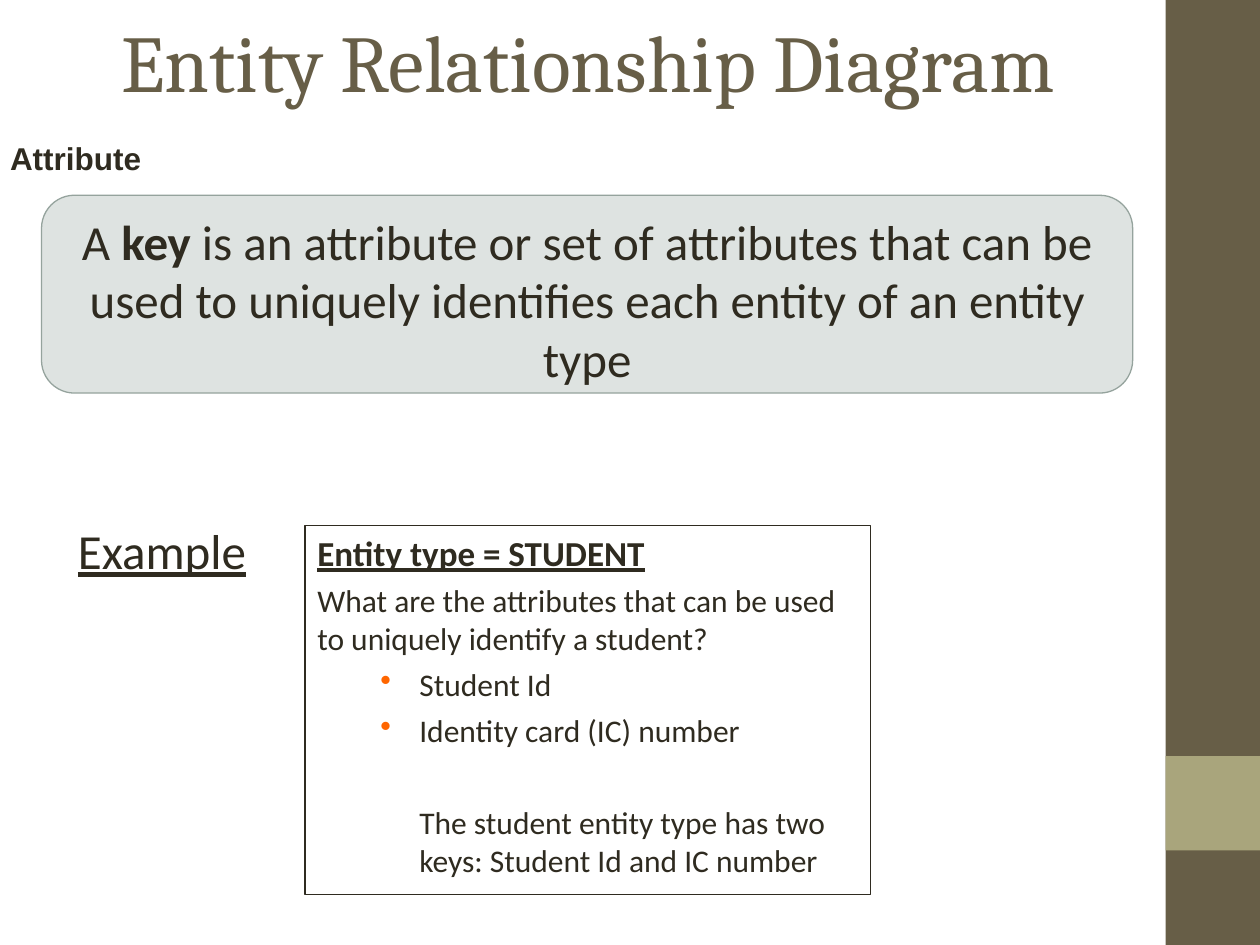
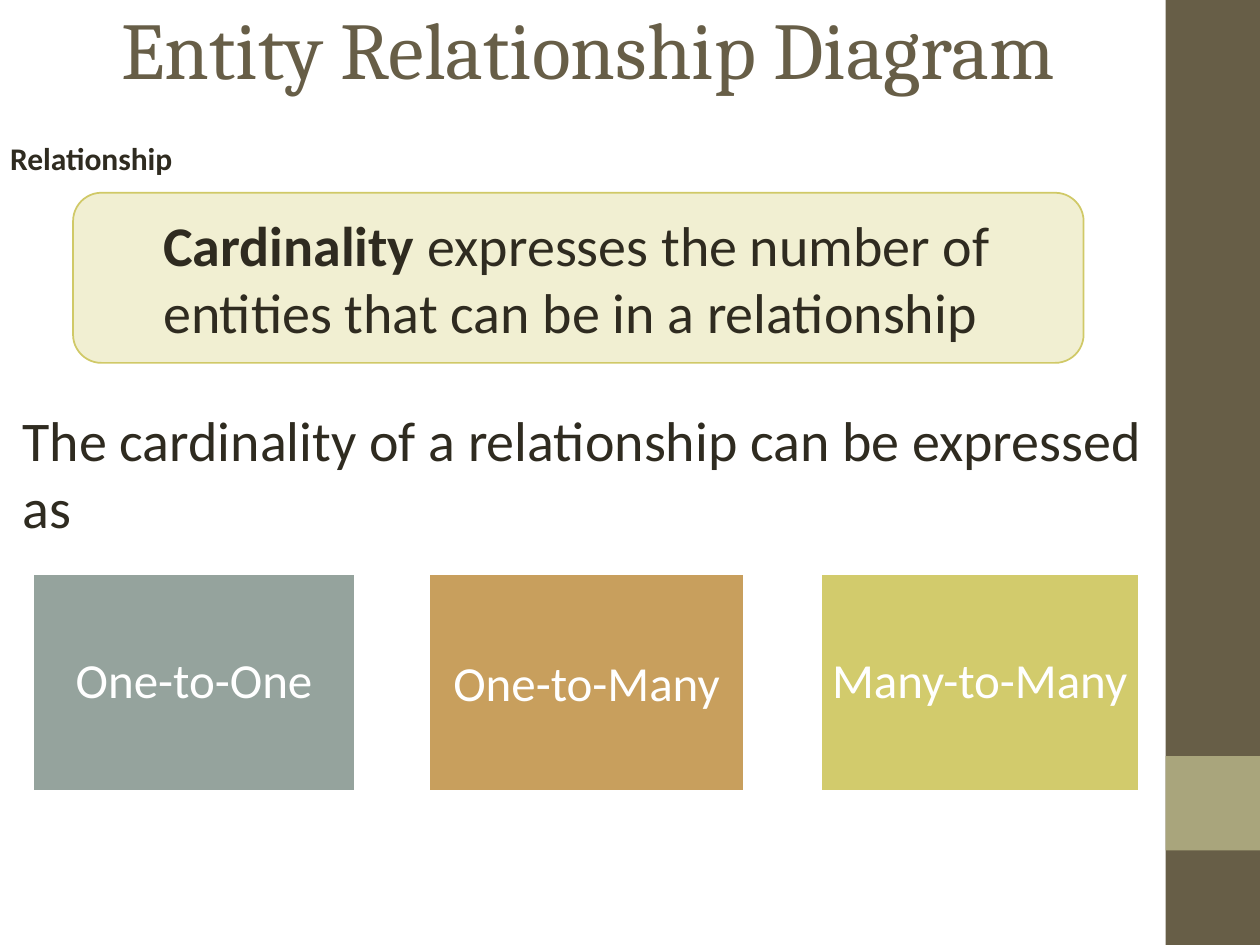
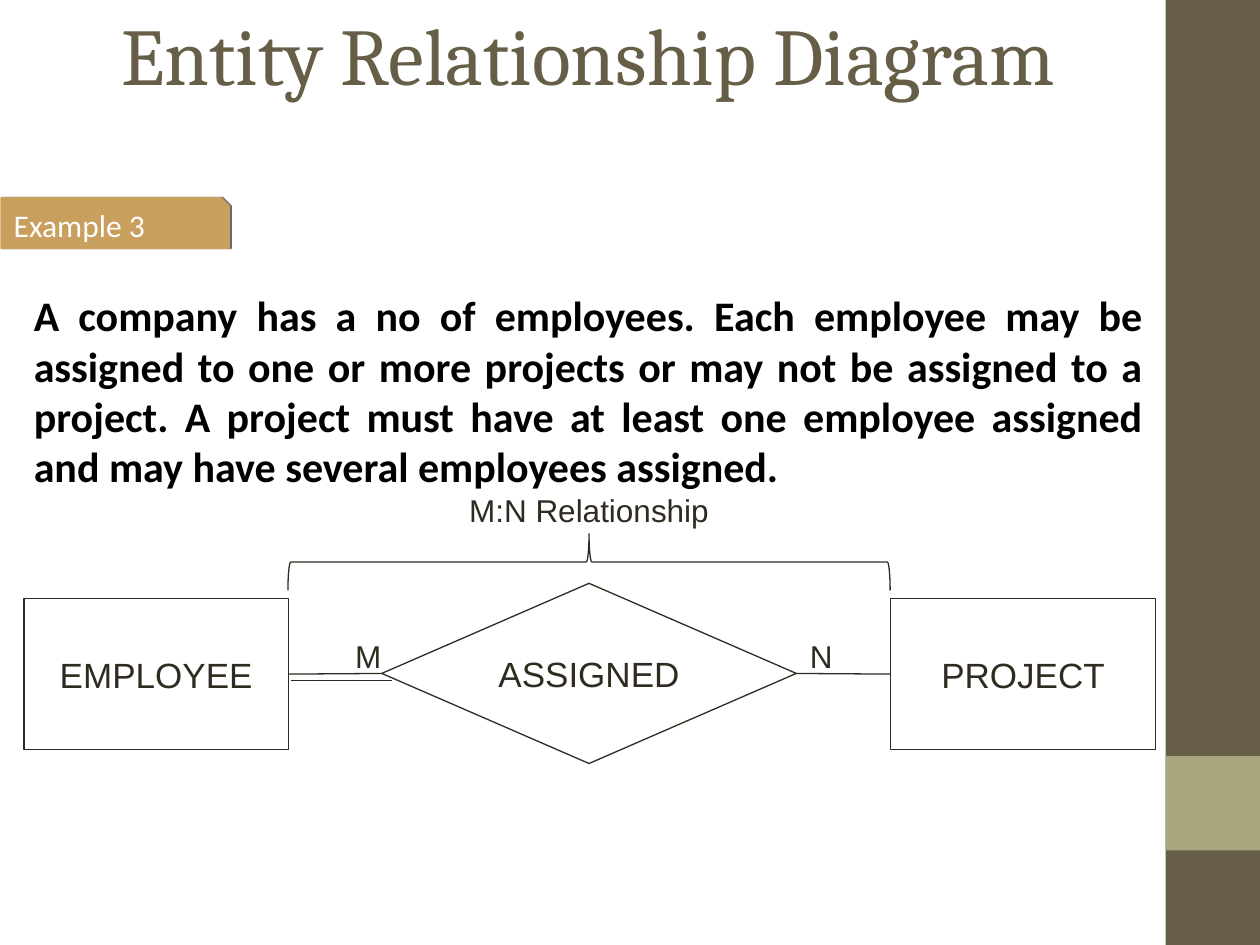
from lxml import etree
from pptx import Presentation
from pptx.dml.color import RGBColor
from pptx.enum.shapes import MSO_CONNECTOR, MSO_SHAPE
from pptx.enum.text import MSO_ANCHOR, PP_ALIGN
from pptx.oxml.ns import qn
from pptx.util import Inches, Pt

RECT = MSO_SHAPE.RECTANGLE
ROUNDED = MSO_SHAPE.ROUNDED_RECTANGLE
SNIPPED = MSO_SHAPE.SNIP_1_RECTANGLE
DIAMOND = MSO_SHAPE.DIAMOND
BRACE = MSO_SHAPE.RIGHT_BRACE
STRAIGHT = MSO_CONNECTOR.STRAIGHT
TOP, MIDDLE = MSO_ANCHOR.TOP, MSO_ANCHOR.MIDDLE
LEFT, CENTER, JUSTIFY = PP_ALIGN.LEFT, PP_ALIGN.CENTER, PP_ALIGN.JUSTIFY

BROWN, OLIVE = "675E47", "A9A57C"
INK, BLACK, WHITE = "2F2B20", "000000", "FFFFFF"
SAGE, TAN, LIME = "95A39D", "C89F5D", "D2CB6C"
ORANGE = "FF6600"


def rgb(value):
    return RGBColor.from_string(value)


def add_box(slide, kind, at, fill=None, line=None, width=0.75, opacity=None):
    sp = slide.shapes.add_shape(kind, *map(Inches, at))
    sp.shadow.inherit = False
    if fill:
        sp.fill.solid()
        sp.fill.fore_color.rgb = rgb(fill)
    else:
        sp.fill.background()
    if opacity:
        color = sp.fill._xPr.find(".//" + qn("a:srgbClr"))
        etree.SubElement(color, qn("a:alpha"), val=str(opacity * 1000))
    if line:
        sp.line.color.rgb = rgb(line)
        sp.line.width = Pt(width)
    else:
        sp.line.fill.background()
    return sp


def set_frame(sp, anchor=TOP, side=0.1, top=0.05):
    """Set wrapping, anchor and margins, and return the text frame."""
    tf = sp.text_frame
    tf.word_wrap = True
    tf.vertical_anchor = anchor
    tf.margin_left = tf.margin_right = Inches(side)
    tf.margin_top = tf.margin_bottom = Inches(top)
    return tf


def add_runs(p, runs, size, color=INK, font="Calibri", align=LEFT):
    """Fill a paragraph; each run is (text, bold, underline)."""
    p.alignment = align
    for text, bold, underline in runs:
        r = p.add_run()
        r.text = text
        r.font.name = font
        r.font.size = Pt(size)
        r.font.color.rgb = rgb(color)
        r.font.bold = bold
        r.font.underline = underline


def add_label(sp, text, size, color=INK, font="Calibri", align=LEFT, bold=False,
              underline=False, **frame):
    p = set_frame(sp, **frame).paragraphs[0]
    add_runs(p, [(text, bold, underline)], size, color, font, align)
    return p


def add_text(slide, at, *args, **style):
    return add_label(slide.shapes.add_textbox(*map(Inches, at)), *args, **style)


def indent(p, left, hanging=0):
    pPr = p._p.get_or_add_pPr()
    pPr.set("marL", str(Inches(left)))
    pPr.set("indent", str(-Inches(hanging)))
    return pPr


def add_bullet(p, color):
    pPr = indent(p, 0.81, 0.31)
    clr = etree.SubElement(pPr, qn("a:buClr"))
    etree.SubElement(clr, qn("a:srgbClr"), val=color)
    etree.SubElement(pPr, qn("a:buChar"), char="•")


def add_edge_shadow(sp):
    """Cast a thin hard shadow to the right."""
    effects = sp._element.spPr.find(qn("a:effectLst"))
    shadow = etree.SubElement(effects, qn("a:outerShdw"), dist=str(Pt(1)), dir="0")
    color = etree.SubElement(shadow, qn("a:srgbClr"), val=BLACK)
    etree.SubElement(color, qn("a:alpha"), val="60000")


def add_line(slide, start=(0, 0), end=(0, 0)):
    c = slide.shapes.add_connector(STRAIGHT, *map(Inches, (*start, *end)))
    c.line.color.rgb = rgb(INK)
    c.line.width = Pt(0.75)
    etree.SubElement(c._element.spPr, qn("a:effectLst"))
    return c


def join(slide, left, right):
    c = add_line(slide)
    c.begin_connect(left, 3)
    c.end_connect(right, 1)


def add_slide(prs, title_height):
    slide = prs.slides.add_slide(prs.slide_layouts[6])
    add_box(slide, RECT, (9.25, 0, 0.75, 7.5), BROWN)
    add_box(slide, RECT, (9.25, 6, 0.75, 0.75), OLIVE)
    add_text(slide, (0.5, 0, 8.33, title_height), "Entity Relationship Diagram", 46,
             BROWN, "Cambria", CENTER, anchor=MIDDLE)
    return slide


def add_topic(slide, text, font):
    p = add_text(slide, (0, 1.15, 1.83, 0.35), text, 18, font=font, bold=True,
                 side=0.08, top=0)
    p.line_spacing = Pt(18)


def build_key_slide(prs):
    slide = add_slide(prs, 0.95)
    definition = add_box(slide, ROUNDED, (0.33, 1.55, 8.66, 1.57), SAGE, SAGE, opacity=30)
    add_runs(set_frame(definition).paragraphs[0], [
        ("A ", False, False),
        ("key ", True, False),
        ("is an attribute or set of attributes that can be used to uniquely "
         "identifies each entity of an entity type", False, False),
    ], 28, align=CENTER)
    add_topic(slide, "Attribute", "Arial")
    add_text(slide, (0.52, 4.08, 2, 1.18), "Example", 28, underline=True)

    example = add_box(slide, RECT, (2.42, 4.17, 4.49, 2.93), line=INK)
    add_label(example, "Entity type = STUDENT", 20, bold=True, underline=True)
    lines = [
        ("What are the attributes that can be used to uniquely identify a student?", 4.5),
        ("Student Id", 4.5),
        ("Identity card (IC) number", 4.5),
        ("The student entity type has two keys: Student Id and IC number", 31),
    ]
    question, *keys, conclusion = [example.text_frame.add_paragraph() for _ in lines]
    for p, (text, before) in zip((question, *keys, conclusion), lines):
        p.space_before = Pt(before)
        add_runs(p, [(text, False, False)], 18)
    for p in keys:
        add_bullet(p, ORANGE)
    indent(conclusion, 0.81)


def build_cardinality_slide(prs):
    slide = add_slide(prs, 0.75)
    add_topic(slide, "Relationship", "Calibri")
    definition = add_box(slide, ROUNDED, (0.58, 1.53, 8.02, 1.35), LIME, "D0C967", 1, 30)
    add_runs(set_frame(definition, MIDDLE, side=0.65).paragraphs[0], [
        ("Cardinality", True, False),
        (" expresses the number of entities that can be in a relationship", False, False),
    ], 32)
    add_text(slide, (0.08, 3.17, 9.46, 1.18),
             "The cardinality of a relationship can be expressed as", 32)
    for text, left, width, fill, spacing in (
        ("One-to-One", 0.25, 2.58, SAGE, 0.9),
        ("One-to-Many", 3.39, 2.53, TAN, 1.0),
        ("Many-to-Many", 6.5, 2.55, LIME, 0.9),
    ):
        tile = add_box(slide, RECT, (left, 4.54, width, 1.75), fill, WHITE, 3)
        p = add_label(tile, text, 28, WHITE, align=CENTER, anchor=MIDDLE,
                      side=0.09, top=0.09)
        p.line_spacing = spacing


def build_example_slide(prs):
    slide = add_slide(prs, 0.84)
    tag = add_box(slide, SNIPPED, (0.01, 1.57, 1.81, 0.4), TAN, TAN, 1)
    add_edge_shadow(tag)
    add_label(tag, "Example 3", 18, WHITE, anchor=MIDDLE)
    add_text(slide, (0.17, 2.25, 9, 1.7),
             "A company has a no of employees. Each employee may be assigned to one or "
             "more projects or may not be assigned to a project. A project must have at "
             "least one employee assigned and may have several employees assigned.",
             24, BLACK, align=JUSTIFY, bold=True)

    nodes = []
    for text, kind, at in (
        ("EMPLOYEE", RECT, (0.19, 4.75, 2.1, 1.2)),
        ("ASSIGNED", DIAMOND, (3.03, 4.63, 3.29, 1.43)),
        ("PROJECT", RECT, (7.07, 4.75, 2.1, 1.2)),
    ):
        node = add_box(slide, kind, at, WHITE, INK)
        add_label(node, text, 20, font="Arial", align=CENTER, anchor=MIDDLE, side=0)
        nodes.append(node)
    for left, right in zip(nodes, nodes[1:]):
        join(slide, left, right)
    add_line(slide, (2.31, 5.4), (3.11, 5.4))

    for text, left in (("M", 2.72), ("N", 6.33)):
        add_text(slide, (left, 5.01, 0.39, 0.39), text, 18, font="Arial")
    brace = add_box(slide, BRACE, (4.45, 2.07, 0.45, 4.78), line=INK)
    brace.rotation = 270
    brace.adjustments[0] = 0.05
    add_text(slide, (3.02, 3.85, 3.31, 0.4), "M:N Relationship", 18, font="Arial",
             align=CENTER)


def main():
    prs = Presentation()
    prs.slide_width, prs.slide_height = Inches(10), Inches(7.5)
    build_key_slide(prs)
    build_cardinality_slide(prs)
    build_example_slide(prs)
    prs.save("out.pptx")


if __name__ == "__main__":
    main()
